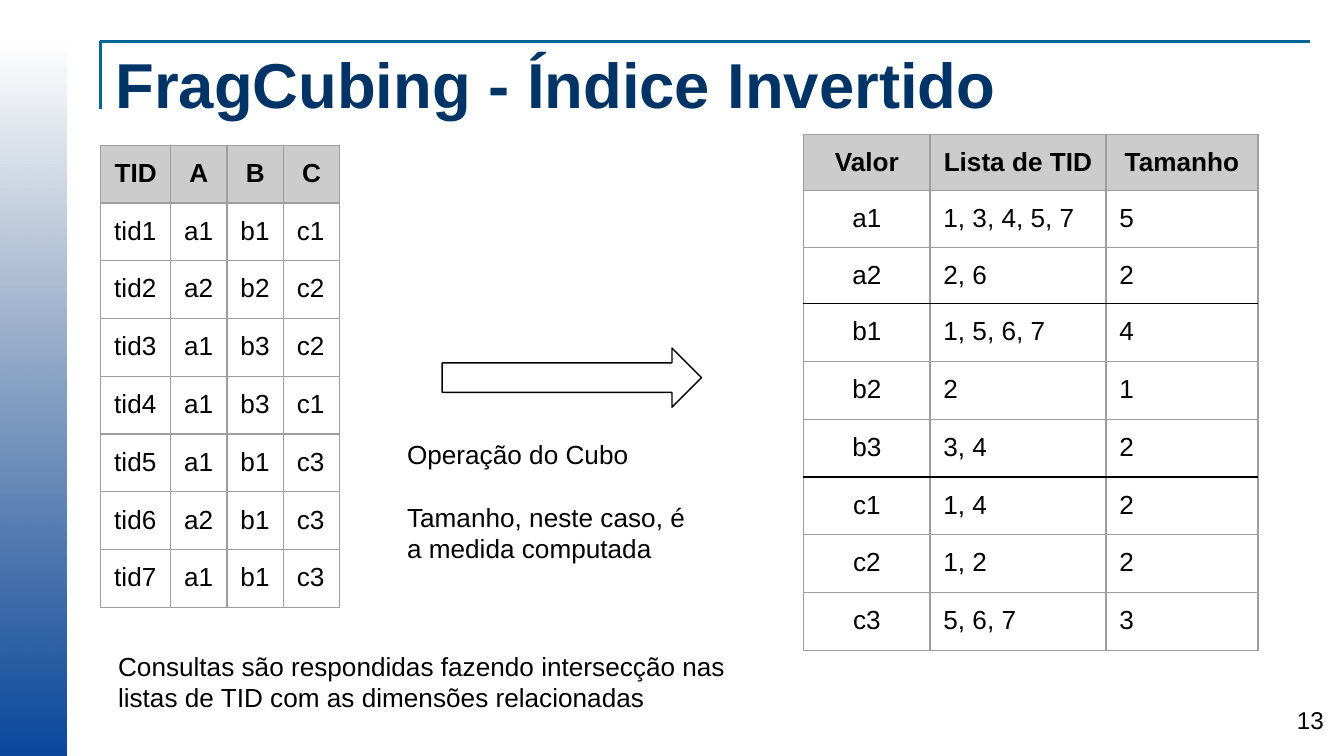
from dataclasses import dataclass

from lxml.etree import SubElement
from pptx import Presentation
from pptx.dml.color import RGBColor
from pptx.enum.shapes import MSO_SHAPE
from pptx.enum.text import MSO_ANCHOR, PP_ALIGN
from pptx.oxml.ns import qn
from pptx.slide import Slide
from pptx.table import _Cell
from pptx.text.text import TextFrame
from pptx.util import Inches, Pt


@dataclass(frozen=True)
class Theme:
    font: str = "Arial"
    title_size: float = 34
    body_size: float = 14
    number_size: float = 13
    title: str = "003366"
    text: str = "000000"
    rule: str = "006699"
    band_start: str = "08479C"
    band_end: str = "05326D"
    header: str = "CCCCCC"
    border: str = "9E9E9E"
    separator: str = "000000"
    thin: float = 0.75
    thick: float = 1.5


@dataclass(frozen=True)
class Grid:
    left: float
    top: float
    widths: tuple[float, ...]
    heights: tuple[float, ...]
    rows: tuple[tuple[str, ...], ...]
    centred_columns: tuple[int, ...] = ()
    separators_after: tuple[int, ...] = ()


THEME = Theme()

RELATION = Grid(
    0.75, 1.08, (0.52, 0.42, 0.42, 0.42), (0.43,) * 8,
    (
        ("TID", "A", "B", "C"),
        ("tid1", "a1", "b1", "c1"),
        ("tid2", "a2", "b2", "c2"),
        ("tid3", "a1", "b3", "c2"),
        ("tid4", "a1", "b3", "c1"),
        ("tid5", "a1", "b1", "c3"),
        ("tid6", "a2", "b1", "c3"),
        ("tid7", "a1", "b1", "c3"),
    ),
)

INVERTED_INDEX = Grid(
    5.98, 1, (0.94, 1.31, 1.13), (0.42,) * 3 + (0.43,) * 6,
    (
        ("Valor", "Lista de TID", "Tamanho"),
        ("a1", "1, 3, 4, 5, 7", "5"),
        ("a2", "2, 6", "2"),
        ("b1", "1, 5, 6, 7", "4"),
        ("b2", "2", "1"),
        ("b3", "3, 4", "2"),
        ("c1", "1, 4", "2"),
        ("c2", "1, 2", "2"),
        ("c3", "5, 6, 7", "3"),
    ),
    centred_columns=(0,),
    separators_after=(2, 5),
)


def rgb(value: str) -> RGBColor:
    return RGBColor.from_string(value)


def set_margins(target: TextFrame | _Cell, across: float = 0.1, down: float = 0.1) -> None:
    target.margin_left = target.margin_right = Inches(across)
    target.margin_top = target.margin_bottom = Inches(down)


def write(frame: TextFrame, *paragraphs: str, size: float = THEME.body_size,
          color: str = THEME.text, bold: bool = False,
          align: PP_ALIGN = PP_ALIGN.LEFT, gap: float = 0) -> None:
    """Fill the frame with paragraphs, keeping gap points between them."""
    frame.word_wrap = True
    for index, words in enumerate(paragraphs):
        paragraph = frame.add_paragraph() if index else frame.paragraphs[0]
        paragraph.alignment = align
        paragraph.space_before = Pt(gap if index else 0)
        run = paragraph.add_run()
        run.text = words
        run.font.name = THEME.font
        run.font.size = Pt(size)
        run.font.bold = bold
        run.font.color.rgb = rgb(color)


def add_text(slide: Slide, left: float, top: float, width: float, height: float,
             *paragraphs: str, margins: tuple[float, float] = (0.1, 0.1), **style) -> None:
    frame = slide.shapes.add_textbox(
        Inches(left), Inches(top), Inches(width), Inches(height)).text_frame
    set_margins(frame, *margins)
    write(frame, *paragraphs, **style)


def set_borders(cell: _Cell, top: str, bottom: str) -> None:
    properties = cell._tc.get_or_add_tcPr()
    sides = {"L": THEME.border, "R": THEME.border, "T": top, "B": bottom}
    for side, color in sides.items():
        line = SubElement(properties, qn(f"a:ln{side}"), w=str(Pt(THEME.thin)))
        fill = SubElement(line, qn("a:solidFill"))
        SubElement(fill, qn("a:srgbClr"), val=color)


def add_grid(slide: Slide, grid: Grid) -> None:
    table = slide.shapes.add_table(
        len(grid.rows), len(grid.widths), Inches(grid.left), Inches(grid.top),
        Inches(sum(grid.widths)), Inches(sum(grid.heights))).table
    table.first_row = table.horz_banding = False
    for column, width in zip(table.columns, grid.widths):
        column.width = Inches(width)
    for row, height in zip(table.rows, grid.heights):
        row.height = Inches(height)

    def edge_after(row: int) -> str:
        return THEME.separator if row in grid.separators_after else THEME.border

    for r, values in enumerate(grid.rows):
        is_header = r == 0
        for c, value in enumerate(values):
            cell = table.cell(r, c)
            set_margins(cell)
            cell.margin_bottom = Inches(0.08)  # lets the low rows keep their height
            set_borders(cell, top=edge_after(r - 1), bottom=edge_after(r))
            if is_header:
                cell.fill.solid()
                cell.fill.fore_color.rgb = rgb(THEME.header)
            else:
                cell.fill.background()
            centred = is_header or c in grid.centred_columns
            write(cell.text_frame, value, bold=is_header,
                  align=PP_ALIGN.CENTER if centred else PP_ALIGN.LEFT)


def add_side_band(slide: Slide) -> None:
    """Draw the upright band that fades out towards the top."""
    band = slide.shapes.add_shape(
        MSO_SHAPE.RECTANGLE, Inches(-2.41), Inches(2.72), Inches(5.31), Inches(0.5))
    band.rotation = 270
    band.shadow.inherit = False
    band.line.fill.background()
    band.fill.gradient()
    band.fill.gradient_angle = 0
    for stop, color in zip(band.fill.gradient_stops, (THEME.band_start, THEME.band_end)):
        stop.color.rgb = rgb(color)
    clear_color = list(band._element.spPr.iter(qn("a:srgbClr")))[-1]
    SubElement(clear_color, qn("a:alpha"), val="0")


def add_title_rule(slide: Slide) -> None:
    builder = slide.shapes.build_freeform(Inches(0.75), Inches(0.81))
    builder.add_line_segments(
        [(Inches(0.75), Inches(0.31)), (Inches(9.75), Inches(0.31))], close=False)
    rule = builder.convert_to_shape()
    rule.shadow.inherit = False
    rule.fill.background()
    rule.line.color.rgb = rgb(THEME.rule)
    rule.line.width = Pt(THEME.thick)


def add_title(slide: Slide, words: str) -> None:
    title = slide.shapes.title
    title.left, title.top = Inches(0.75), Inches(0.31)
    title.width, title.height = Inches(8.92), Inches(0.62)
    frame = title.text_frame
    frame.vertical_anchor = MSO_ANCHOR.MIDDLE
    set_margins(frame, 0.11, 0.06)
    write(frame, words, size=THEME.title_size, color=THEME.title, bold=True)


def add_arrow(slide: Slide) -> None:
    arrow = slide.shapes.add_shape(
        MSO_SHAPE.RIGHT_ARROW, Inches(3.29), Inches(2.59), Inches(1.93), Inches(0.44))
    arrow.shadow.inherit = False
    arrow.fill.background()
    arrow.line.color.rgb = rgb(THEME.text)
    arrow.line.width = Pt(THEME.thin)


def main() -> None:
    deck = Presentation()
    deck.slide_width = Inches(10)
    deck.slide_height = deck.slide_width * 9 // 16
    slide = deck.slides.add_slide(deck.slide_layouts[5])
    add_side_band(slide)
    add_title_rule(slide)
    add_title(slide, "FragCubing - Índice Invertido")
    add_text(slide, 9.36, 5.19, 0.6, 0.43, "13", margins=(0.11, 0.06),
             size=THEME.number_size, align=PP_ALIGN.RIGHT)
    add_grid(slide, RELATION)
    add_grid(slide, INVERTED_INDEX)
    add_arrow(slide)
    add_text(slide, 2.93, 3.16, 2.35, 1.14, "Operação do Cubo",
             "Tamanho, neste caso, é a medida computada", gap=17)
    add_text(slide, 0.78, 4.74, 4.95, 0.67,
             "Consultas são respondidas fazendo intersecção nas listas de TID "
             "com as dimensões relacionadas")
    deck.save("out.pptx")


if __name__ == "__main__":
    main()
